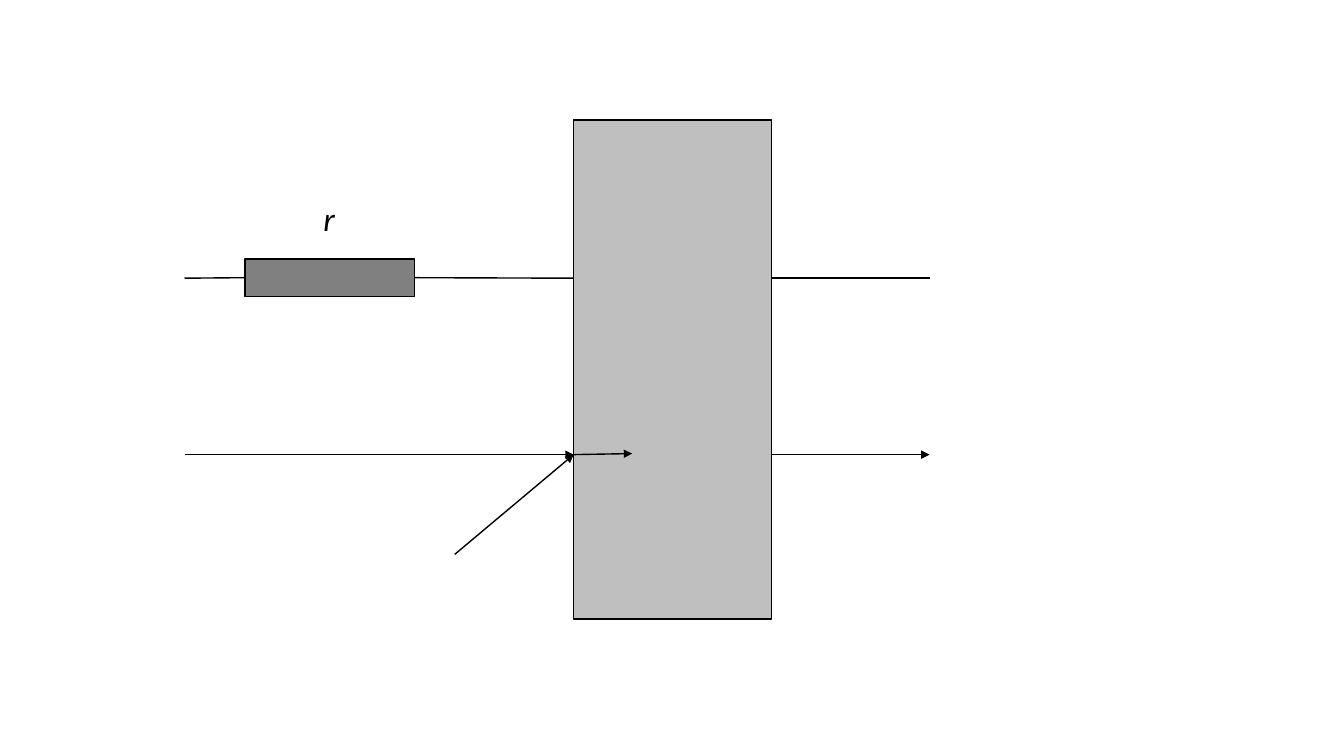
from lxml import etree
from pptx import Presentation
from pptx.dml.color import RGBColor
from pptx.enum import shapes, text
from pptx.oxml.ns import qn
from pptx.util import Inches, Pt

COLORS = {"ink": "000000", "slab": "BFBFBF", "resistor": "808080"}
FONT = "Calibri"

# Content: left, top, width, height in inches
SLAB = (5.69, 1.19, 1.96, 4.95)
RESISTOR = (2.43, 2.57, 1.68, 0.37)
LABEL = ("r", (3.11, 1.91, 0.32, 0.5))

# Levels shared by the lines
LEFT_END, RIGHT_END = 1.83, 9.22
WIRE_Y, RAY_Y = 2.76, 4.51
slab_left, slab_right = SLAB[0], SLAB[0] + SLAB[2]
resistor_left, resistor_right = RESISTOR[0], RESISTOR[0] + RESISTOR[2]
ENTRY = (slab_left, RAY_Y)

# Start, end, has arrowhead
LINES = {
    "wire in": ((LEFT_END, WIRE_Y), (resistor_left, WIRE_Y), False),
    "wire middle": ((resistor_right, WIRE_Y), (slab_left, WIRE_Y), False),
    "wire out": ((slab_right, WIRE_Y), (RIGHT_END, WIRE_Y), False),
    "ray in": ((LEFT_END, RAY_Y), ENTRY, True),
    "ray out": ((slab_right, RAY_Y), (RIGHT_END, RAY_Y), True),
    "oblique ray": ((4.51, 5.5), ENTRY, True),
    "inner ray": (ENTRY, (6.27, 4.5), True),
}


def color(name):
    return RGBColor.from_string(COLORS[name])


def add_block(slide, box, fill):
    shape = slide.shapes.add_shape(
        shapes.MSO_SHAPE.RECTANGLE, *map(Inches, box))
    shape.shadow.inherit = False
    shape.fill.solid()
    shape.fill.fore_color.rgb = color(fill)
    shape.line.color.rgb = color("ink")
    shape.line.width = Pt(1)
    return shape


def add_line(slide, start, end, arrow):
    connector = slide.shapes.add_connector(
        shapes.MSO_CONNECTOR.STRAIGHT, *map(Inches, start + end))
    connector.line.color.rgb = color("ink")
    connector.line.width = Pt(1)
    if arrow:
        etree.SubElement(connector.line._get_or_add_ln(), qn("a:tailEnd"),
                         type="triangle")
    etree.SubElement(connector._element.spPr, qn("a:effectLst"))
    return connector


def add_label(slide, wording, box):
    frame = slide.shapes.add_textbox(*map(Inches, box)).text_frame
    frame.word_wrap = False
    frame.auto_size = text.MSO_AUTO_SIZE.SHAPE_TO_FIT_TEXT
    run = frame.paragraphs[0].add_run()
    run.text = wording
    run.font.name = FONT
    run.font.size = Pt(24)
    run.font.italic = True
    run.font.color.rgb = color("ink")


def main():
    presentation = Presentation()
    presentation.slide_width = Inches(13.33)
    presentation.slide_height = Inches(7.5)
    slide = presentation.slides.add_slide(presentation.slide_layouts[6])

    # Blocks
    add_block(slide, SLAB, "slab")
    resistor = add_block(slide, RESISTOR, "resistor")

    # Wires and rays
    lines = {name: add_line(slide, *line) for name, line in LINES.items()}
    lines["wire in"].end_connect(resistor, 1)
    lines["wire middle"].begin_connect(resistor, 3)

    # Resistor label
    add_label(slide, *LABEL)
    presentation.save("out.pptx")


if __name__ == "__main__":
    main()
